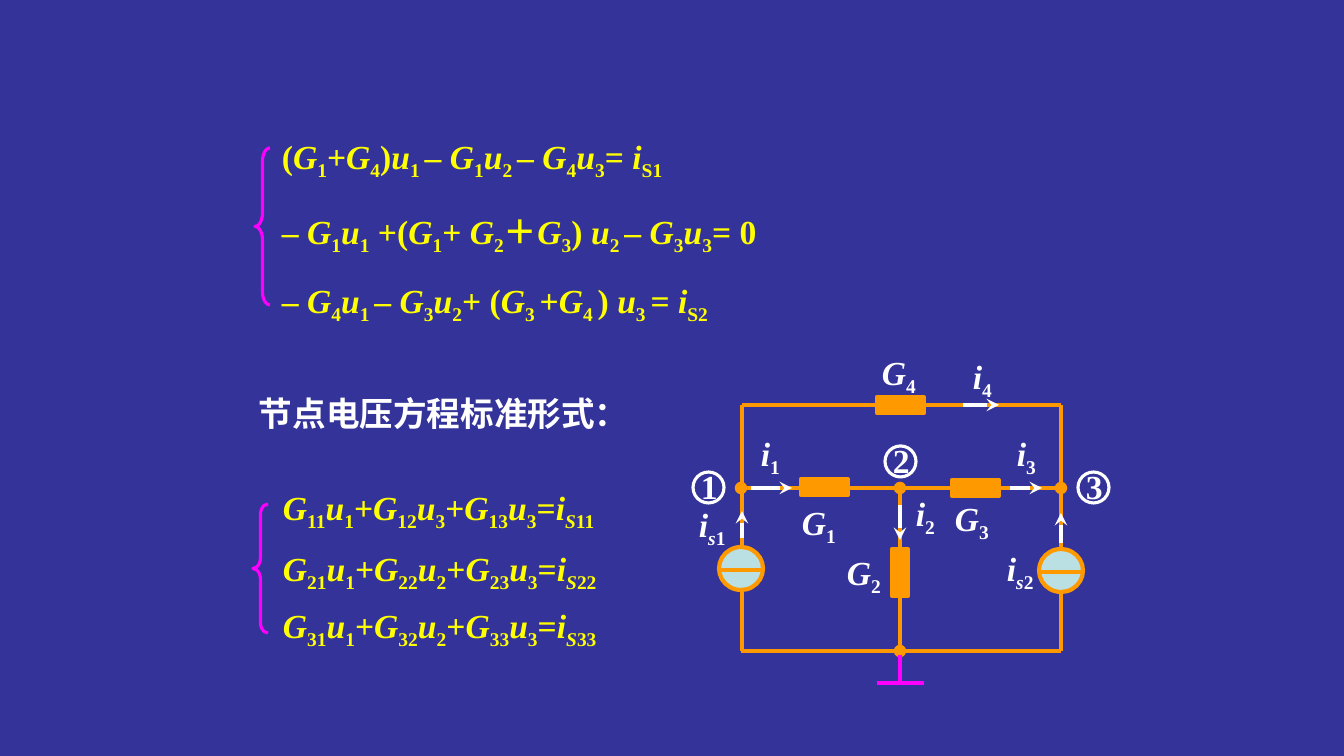
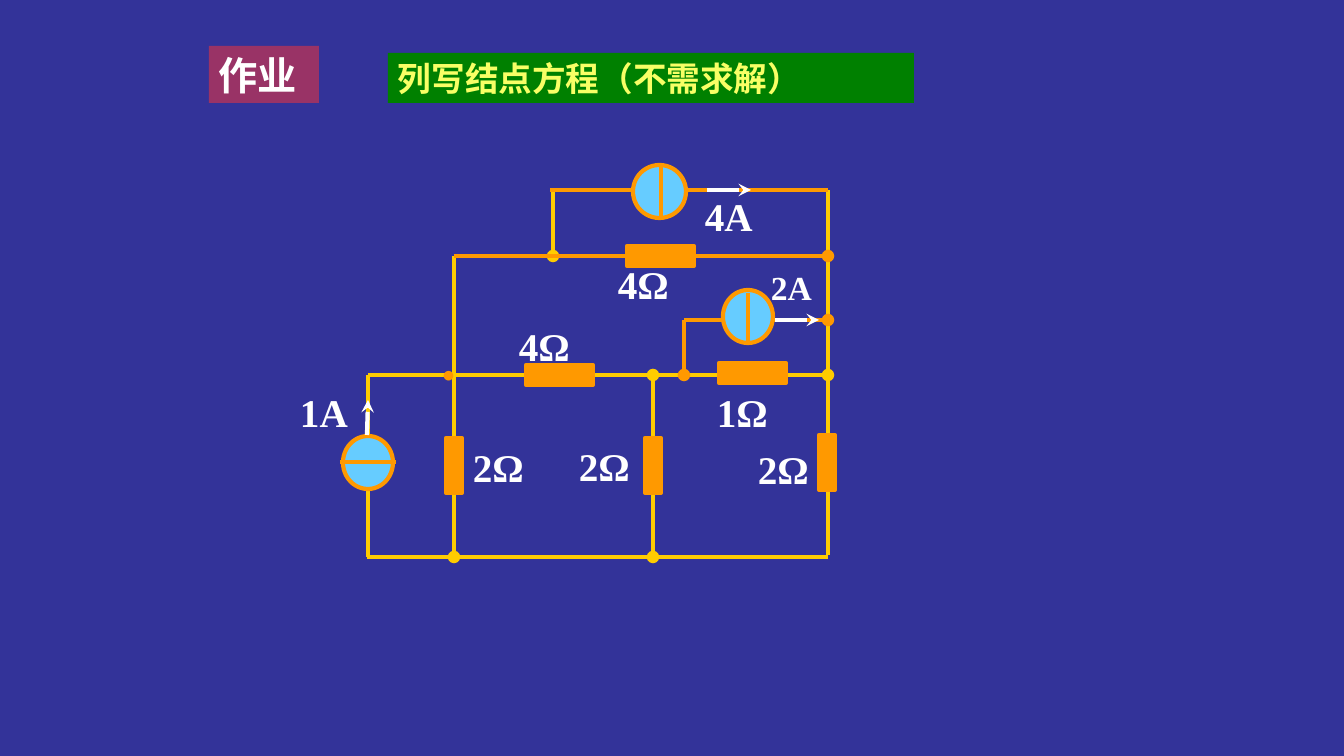
"""Build two slides on node-voltage equations: the standard form and a homework circuit."""
import dataclasses

import lxml.etree
import pptx
import pptx.dml.color
import pptx.enum.shapes
import pptx.enum.text
import pptx.oxml.ns
import pptx.util


@dataclasses.dataclass(frozen=True)
class Theme:
    back: str = "333399"
    white: str = "FFFFFF"
    equation: str = "FFFF00"
    accent: str = "FF00FF"
    orange: str = "FF9900"
    yellow: str = "FFCC00"
    pale_source: str = "BBE0E3"
    blue_source: str = "66CCFF"
    homework: str = "993366"
    task: str = "008000"
    task_text: str = "F8FF65"
    font: str = "Times New Roman"
    dot_font: str = "Arial"
    body: int = 24
    large: int = 28
    dot: int = 16
    wire: float = 3
    outline: float = 2.25


theme = Theme()
PX = 914400 / 100.8
rgb = pptx.dml.color.RGBColor.from_string
qn = pptx.oxml.ns.qn
RECT = pptx.enum.shapes.MSO_SHAPE.RECTANGLE
OVAL = pptx.enum.shapes.MSO_SHAPE.OVAL
BRACE = pptx.enum.shapes.MSO_SHAPE.LEFT_BRACE


def write(slide, text, box, size=theme.body, color=theme.white, font=theme.font,
          spacing=None, fill=None):
    """Write text in which _ marks off subscripts and * marks off italics."""
    area = slide.shapes.add_textbox(*[round(length * PX) for length in box])
    if fill:
        area.fill.solid()
        area.fill.fore_color.rgb = rgb(fill)
    frame = area.text_frame
    frame.word_wrap = True
    frame.auto_size = pptx.enum.text.MSO_AUTO_SIZE.SHAPE_TO_FIT_TEXT
    paragraph = frame.paragraphs[0]
    paragraph.line_spacing = spacing
    for level, piece in enumerate(text.split("_")):
        for slant, words in enumerate(piece.split("*")):
            if not words:
                continue
            run = paragraph.add_run()
            run.text = words
            run.font.name = font
            run.font.size = pptx.util.Pt(size)
            run.font.bold = True
            run.font.italic = slant % 2 == 1
            run.font.color.rgb = rgb(color)
            if level % 2:
                run.font._element.set("baseline", "-25000")


def wire(slide, ends, color, head=None, tail=None):
    """Draw a straight line with optional end marks."""
    link = slide.shapes.add_connector(
        pptx.enum.shapes.MSO_CONNECTOR.STRAIGHT, *[round(length * PX) for length in ends])
    link.line.color.rgb = rgb(color)
    link.line.width = pptx.util.Pt(theme.wire)
    properties = link._element.spPr
    for tag, mark in (("a:headEnd", head), ("a:tailEnd", tail)):
        if mark:
            lxml.etree.SubElement(properties.find(qn("a:ln")), qn(tag), type=mark)
    lxml.etree.SubElement(properties, qn("a:effectLst"))


deck = pptx.Presentation()
deck.slide_width = round(1344 * PX)
deck.slide_height = round(756 * PX)
deck.slide_master.background.fill.solid()
deck.slide_master.background.fill.fore_color.rgb = rgb(theme.back)
blank = deck.slide_layouts[6]
standard_form = deck.slides.add_slide(blank)
homework = deck.slides.add_slide(blank)

equations = [
    ("(*G*_1_+*G*_4_)*u*_1 _– *G*_1_*u*_2 _– *G*_4_*u*_3_= *i*_S1_", (272, 126, 594, 55), 1.1),
    ("– *G*_1_*u*_1_ +(*G*_1_+ *G*_2_＋*G*_3_) *u*_2 _– *G*_3_*u*_3_= 0",
     (272, 201, 739, 55), 1.1),
    ("– *G*_4_*u*_1 _– *G*_3_*u*_2_+ (*G*_3 _+*G*_4 _) *u*_3 _= *i*_S2_",
     (272, 270, 510, 51), 1.1),
    ("*G*_11_*u*_1_+*G*_12_*u*_3_+*G*_13_*u*_3_=*i*_*S*11_", (273, 486, 413, 42), 0.8),
    ("*G*_21_*u*_1_+*G*_22_*u*_2_+*G*_23_*u*_3_=*i*_*S*22_", (273, 547, 413, 42), 0.8),
    ("*G*_31_*u*_1_+*G*_32_*u*_2_+*G*_33_*u*_3_=*i*_*S*33_", (273, 604, 413, 42), 0.8),
]
for equation, box, spacing in equations:
    write(standard_form, equation, box, color=theme.equation, spacing=spacing)
write(standard_form, "节点电压方程标准形式：", (249, 388, 445, 50))

for box, curl in (((255, 148, 15, 157), 0.88), ((253, 504, 15, 129), 0.71)):
    brace = standard_form.shapes.add_shape(BRACE, *[round(length * PX) for length in box])
    brace.adjustments[0] = curl
    brace.shadow.inherit = False
    brace.fill.background()
    brace.line.color.rgb = rgb(theme.accent)
    brace.line.width = pptx.util.Pt(theme.outline)

wires = [
    (standard_form, theme.orange, [
        ((742, 405, 742, 651), None, None),
        ((742, 405, 1061, 405), None, None),
        ((1061, 405, 1061, 651), None, None),
        ((900, 488, 900, 651), "oval", "oval"),
        ((741, 651, 1061, 651), None, None),
        ((741, 488, 1061, 488), "oval", "oval"),
    ]),
    (standard_form, theme.accent, [
        ((900, 655, 900, 683), None, None),
        ((877, 683, 924, 683), None, None),
    ]),
    (homework, theme.yellow, [
        ((653, 375, 653, 557), "oval", "oval"),
        ((454, 256, 454, 557), None, "oval"),
        ((368, 375, 828, 375), None, "oval"),
        ((367, 557, 828, 557), None, None),
        ((553, 190, 553, 256), None, "oval"),
        ((368, 375, 368, 557), None, None),
        ((828, 190, 828, 555), None, None),
    ]),
    (homework, theme.orange, [
        ((454, 256, 828, 256), None, "oval"),
        ((684, 375, 684, 320), "oval", None),
        ((684, 320, 828, 320), None, "oval"),
        ((550, 190, 828, 190), None, None),
    ]),
]
for slide, color, runs in wires:
    for ends, head, tail in runs:
        wire(slide, ends, color, head, tail)

components = [
    (standard_form, RECT, theme.orange, theme.orange, theme.wire, [
        (877, 397, 47, 16), (801, 479, 47, 16), (952, 480, 47, 16), (892, 549, 16, 47)]),
    (standard_form, OVAL, theme.pale_source, theme.orange, theme.wire, [
        (719, 547, 44, 43), (1039, 549, 44, 43)]),
    (standard_form, OVAL, None, theme.white, theme.outline, [
        (693, 472, 31, 31), (885, 446, 31, 31), (1078, 472, 31, 31)]),
    (homework, RECT, theme.orange, theme.orange, theme.wire, [
        (645, 438, 16, 55), (446, 438, 16, 55), (819, 435, 16, 55),
        (526, 365, 67, 20), (719, 363, 67, 20), (627, 246, 67, 20)]),
    (homework, OVAL, theme.blue_source, theme.orange, theme.wire, [
        (343, 436, 50, 53), (723, 290, 50, 53), (633, 165, 53, 53)]),
]
for slide, outline, fill, color, weight, boxes in components:
    for box in boxes:
        component = slide.shapes.add_shape(outline, *[round(length * PX) for length in box])
        component.shadow.inherit = False
        component.line.color.rgb = rgb(color)
        component.line.width = pptx.util.Pt(weight)
        if fill:
            component.fill.solid()
            component.fill.fore_color.rgb = rgb(fill)
        else:
            component.fill.background()

source_bars = [
    (standard_form, [(719, 570, 764, 570), (1039, 572, 1084, 572)]),
    (homework, [(340, 462, 396, 462), (661, 164, 661, 217), (748, 293, 748, 345)]),
]
for slide, bars in source_bars:
    for ends in bars:
        wire(slide, ends, theme.orange)

currents = [
    (standard_form, [
        (751, 488, 792, 488), (1010, 488, 1042, 488), (963, 405, 999, 405),
        (900, 505, 900, 540), (742, 538, 742, 511), (1061, 543, 1061, 513)]),
    (homework, [(367, 435, 368, 400), (775, 320, 819, 320), (707, 190, 751, 190)]),
]
for slide, arrows in currents:
    for ends in arrows:
        wire(slide, ends, theme.white, tail="stealth")

labels = [
    (standard_form, theme.body, 65, 50, [
        ("*i*_*s*2_", 997, 543), ("*i*_*s*1_", 689, 499),
        ("*G*_1_", 792, 497), ("*G*_2_", 837, 547), ("*G*_3_", 945, 493), ("*G*_4_", 872, 347),
        ("*i*_4_", 963, 351), ("*i*_3_", 1007, 428), ("*i*_1_", 751, 428), ("*i*_2_", 906, 488)]),
    (standard_form, theme.body, 38, 50, [("1", 691, 461), ("2", 883, 435), ("3", 1076, 461)]),
    (homework, theme.large, 83, 57, [
        ("1A", 290, 383), ("2Ω", 463, 438), ("4Ω", 509, 317), ("2Ω", 569, 437),
        ("4A", 695, 187), ("1Ω", 707, 383), ("2Ω", 748, 440), ("4Ω", 608, 255)]),
    (homework, theme.body, 67, 50, [("2A", 761, 262)]),
]
for slide, size, width, height, entries in labels:
    for label, left, top in entries:
        write(slide, label, (left, top, width, height), size=size)

write(homework, "●", (432, 355, 43, 37), size=theme.dot, color=theme.orange, font=theme.dot_font)
write(homework, "作业", (209, 46, 110, 57), size=theme.large, fill=theme.homework)
write(homework, "列写结点方程（不需求解）", (388, 53, 526, 50),
      color=theme.task_text, fill=theme.task)

deck.save("out.pptx")
